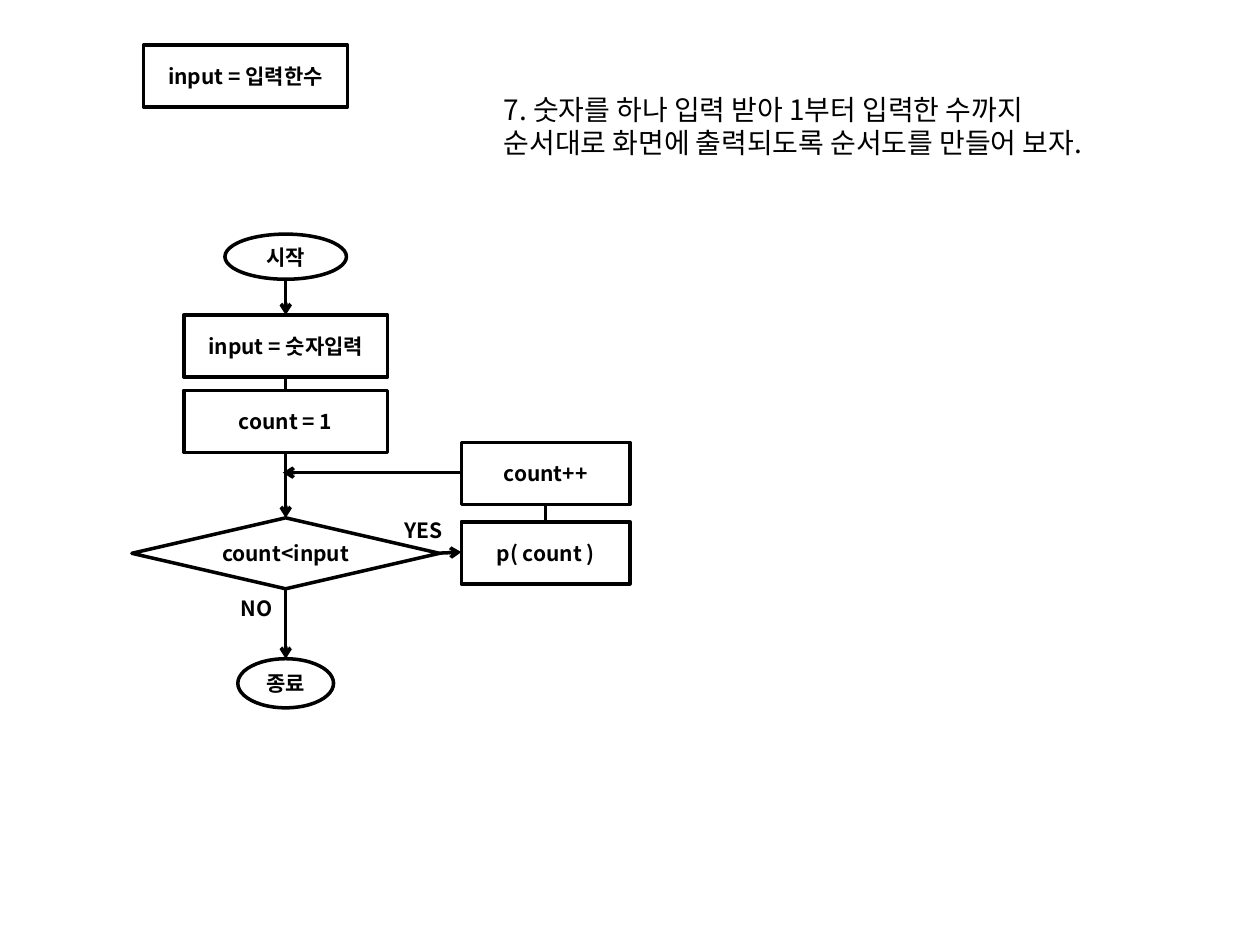
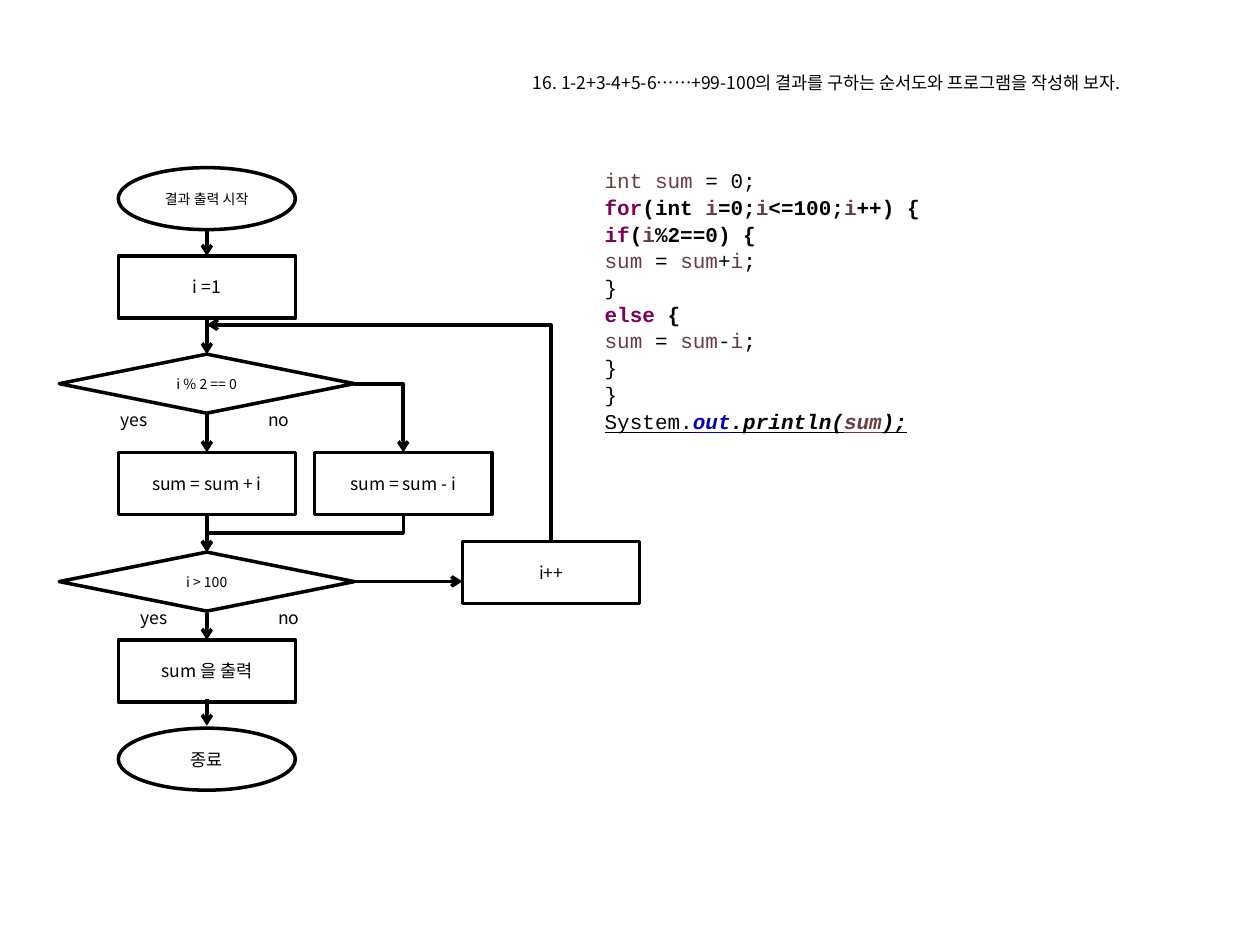
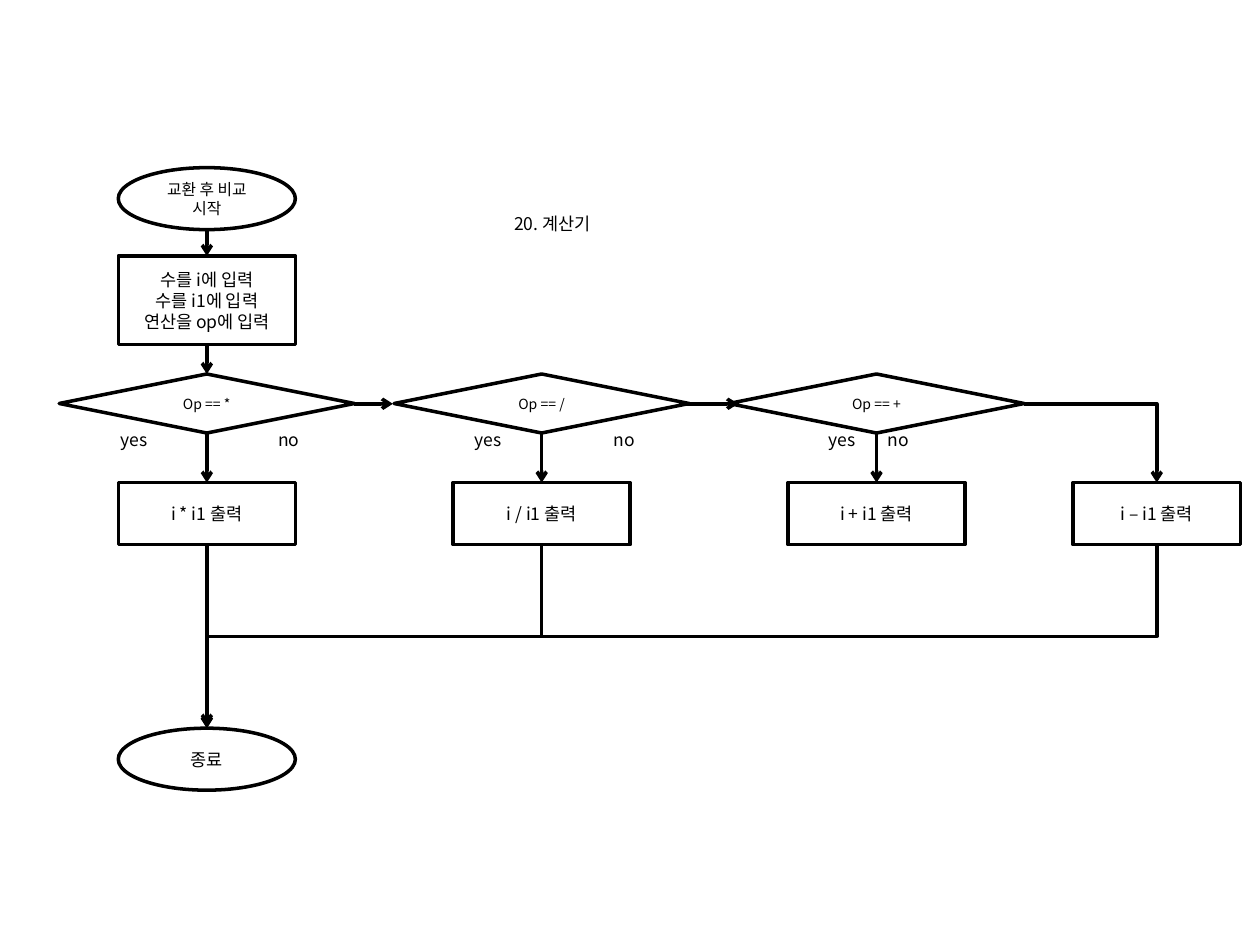
from dataclasses import dataclass, replace

from lxml.etree import SubElement
from pptx import Presentation
from pptx.dml.color import RGBColor
from pptx.enum.shapes import MSO_CONNECTOR as Link, MSO_SHAPE as Kind
from pptx.enum.text import MSO_ANCHOR as Anchor, MSO_AUTO_SIZE as AutoSize, PP_ALIGN as Align
from pptx.oxml.ns import qn
from pptx.util import Cm, Pt


@dataclass(frozen=True)
class TextStyle:
    size: float
    font: str = "Noto Sans CJK KR"
    color: str = "000000"
    bold: bool = False
    italic: bool = False
    underline: bool = False


@dataclass(frozen=True)
class Theme:
    line: str = "000000"
    paper: str = "FFFFFF"
    line_width: float = 2
    headline: TextStyle = TextStyle(16)
    strong: TextStyle = TextStyle(12, bold=True)
    body: TextStyle = TextStyle(10)
    compact: TextStyle = TextStyle(9)
    small: TextStyle = TextStyle(8)
    code: TextStyle = TextStyle(12, "Courier New")
    variable: str = "6A3E3E"
    keyword: str = "7F0055"
    field: str = "0000C0"


THEME = Theme()
AXIS = 4.17
BOX = (3.57, 1.25)
DIAMOND = (5.95, 1.19)
OVAL = (3.57, 1.25)


class FlowDeck:
    def __init__(self, theme):
        self.theme = theme
        self.deck = Presentation()
        self.deck.slide_width, self.deck.slide_height = Cm(25.4), Cm(19.05)
        self.slide = None

    def page(self, heading, left, top, height, style):
        self.slide = self.deck.slides.add_slide(self.deck.slide_layouts[5])
        title = self.slide.shapes.title
        title.left, title.top, title.width, title.height = map(Cm, (left, top, 12.7, height))
        self.set_lines(title.text_frame, [[(heading, style)]], Align.LEFT, Anchor.TOP)

    def set_lines(self, frame, lines, align, anchor, spacing=None):
        frame.word_wrap = True
        frame.auto_size = AutoSize.NONE
        frame.vertical_anchor = anchor
        for number, line in enumerate(lines):
            paragraph = frame.add_paragraph() if number else frame.paragraphs[0]
            paragraph.alignment = align
            if spacing:
                paragraph.line_spacing = spacing
            for text, style in line:
                run = paragraph.add_run()
                run.text = text
                font = run.font
                font.size, font.bold, font.italic = Pt(style.size), style.bold, style.italic
                font.underline = style.underline
                font.color.rgb = RGBColor.from_string(style.color)
                font.name = style.font
                SubElement(font._element, qn("a:ea"), typeface=style.font)

    def text(self, lines, left, top, width, height, spacing=None):
        box = self.slide.shapes.add_textbox(*map(Cm, (left, top, width, height)))
        self.set_lines(box.text_frame, lines, Align.LEFT, Anchor.TOP, spacing)

    def label(self, text, left, top, style=THEME.body):
        self.text([[(text, style)]], left, top, 1.78, 0.7)

    def node(self, kind, text, center, top, size, style=THEME.body, filled=False):
        width, height = size
        shape = self.slide.shapes.add_shape(
            kind, *map(Cm, (center - width / 2, top, width, height)))
        shape.shadow.inherit = False
        if filled:
            shape.fill.solid()
            shape.fill.fore_color.rgb = RGBColor.from_string(self.theme.paper)
        else:
            shape.fill.background()
        self.outline(shape.line)
        lines = [[(line, style)] for line in text.split("\n")]
        self.set_lines(shape.text_frame, lines, Align.CENTER, Anchor.MIDDLE)

    def process(self, text, center, top, size=BOX, style=THEME.body, filled=False):
        self.node(Kind.FLOWCHART_PROCESS, text, center, top, size, style, filled)

    def decision(self, text, center, top, size=DIAMOND, style=THEME.small):
        self.node(Kind.FLOWCHART_DECISION, text, center, top, size, style)

    def terminal(self, text, center, top, size=OVAL, style=THEME.body):
        self.node(Kind.OVAL, text, center, top, size, style)

    def outline(self, line):
        line.color.rgb = RGBColor.from_string(self.theme.line)
        line.width = Pt(self.theme.line_width)

    def connect(self, link, left, top, right, bottom):
        connector = self.slide.shapes.add_connector(link, *map(Cm, (left, top, right, bottom)))
        self.outline(connector.line)
        properties = connector.element.spPr
        SubElement(properties.find(qn("a:ln")), qn("a:tailEnd"), type="arrow")
        SubElement(properties, qn("a:effectLst"))
        return properties

    def arrow(self, x1, y1, x2, y2):
        self.connect(Link.STRAIGHT, x1, y1, x2, y2)

    def drop(self, x, y1, y2):
        self.arrow(x, y1, x, y2)

    def corner(self, x1, y1, x2, y2):
        properties = self.connect(Link.ELBOW, x1, y1, x2, y2)
        properties.find(qn("a:prstGeom")).set("prst", "bentConnector2")

    def turned(self, x1, y1, x2, y2):
        half_run, half_rise = abs(y2 - y1) / 2, abs(x2 - x1) / 2
        x, y = (x1 + x2) / 2, (y1 + y2) / 2
        return self.connect(Link.ELBOW, x - half_run, y - half_rise, x + half_run, y + half_rise)

    def merge_down(self, x1, y1, x2, y2):
        self.turned(x1, y1, x2, y2).find(qn("a:xfrm")).set("rot", "5400000")

    def loop_back(self, x1, y1, x2, y2):
        properties = self.turned(x1, y1, x2, y2)
        frame = properties.find(qn("a:xfrm"))
        frame.set("rot", "16200000")
        frame.set("flipV", "1")
        properties.find(qn("a:prstGeom")).set("prst", "bentConnector2")


def counting(flow):
    strong = THEME.strong
    main_axis, side_axis = 5.76, 11.0
    wide, narrow = (4.11, 1.25), (3.4, 1.25)
    flow.page("7. 숫자를 하나 입력 받아 1부터 입력한 수까지 순서대로 화면에 출력되도록 순서도를 만들어 보자.",
              9.9, 1.73, 2.31, THEME.headline)
    flow.drop(main_axis, 5.64, 6.35)
    flow.drop(main_axis, 7.6, 10.44)
    flow.drop(main_axis, 11.87, 13.28)
    flow.arrow(8.86, 11.15, 9.3, 11.13)
    flow.loop_back(side_axis, 10.52, 5.7, 9.53)
    flow.terminal("시작", main_axis, 4.72, (2.45, 0.91), strong)
    flow.terminal("종료", main_axis, 13.28, (1.93, 0.99), strong)
    flow.decision("count<input", main_axis, 10.44, (6.2, 1.43), strong)
    flow.process("input = 입력한수", 4.95, 0.91, wide, strong, filled=True)
    flow.process("input = 숫자입력", main_axis, 6.35, wide, strong)
    flow.process("count = 1", main_axis, 7.87, wide, strong, filled=True)
    flow.process("count++", side_axis, 8.92, narrow, strong, filled=True)
    flow.process("p( count )", side_axis, 10.52, narrow, strong)
    flow.label("YES", 7.9, 10.31, strong)
    flow.label("NO", 4.6, 11.89, strong)


def code_lines():
    plain = THEME.code
    variable = replace(plain, color=THEME.variable)
    strong = replace(plain, bold=True)
    strong_variable = replace(variable, bold=True)
    keyword = replace(strong, color=THEME.keyword)
    call = replace(strong, italic=True, underline=True)
    index = ("i", strong_variable)
    close = [("}", plain)]

    def update(sign):
        return [("sum", variable), (" = ", plain), ("sum", variable),
                (sign, plain), ("i", variable), (";", plain)]

    return [
        [("int sum", variable), (" = 0;", plain)],
        [("for", keyword), ("(int ", strong), index, ("=0;", strong), index,
         ("<=100;", strong), index, ("++) {", strong)],
        [("if", keyword), ("(", strong), index, ("%2==0) {", strong)],
        update("+"),
        close,
        [("else", keyword), (" {", strong)],
        update("-"),
        close,
        close,
        [("System.", replace(plain, underline=True)), ("out", replace(call, color=THEME.field)),
         (".println(", call), ("sum", replace(call, color=THEME.variable)), (");", call)],
    ]


def alternating_sum(flow):
    odd, step = 8.13, 11.11
    flow.page("16. 1-2+3-4+5-6……+99-100의 결과를 구하는 순서도와 프로그램을 작성해 보자.",
              10.49, 1.32, 1.12, THEME.body)
    flow.terminal("결과 출력 시작", AXIS, 3.38, style=THEME.small)
    flow.process("i =1", AXIS, 5.16)
    flow.decision("i % 2 == 0", AXIS, 7.14)
    flow.process("sum = sum + i", AXIS, 9.12)
    flow.process("sum = sum - i", odd, 9.12)
    flow.decision("i > 100", AXIS, 11.13)
    flow.process("i++", step, 10.92)
    flow.process("sum 을 출력", AXIS, 12.9)
    flow.terminal("종료", AXIS, 14.68)
    for top, bottom in ((4.65, 5.16), (6.4, 7.14), (8.33, 9.12),
                        (10.37, 11.13), (12.35, 12.9), (14.1, 14.63)):
        flow.drop(AXIS, top, bottom)
    flow.corner(7.14, 7.74, odd, 9.12)
    flow.merge_down(odd, 10.37, AXIS, 11.13)
    flow.arrow(7.14, 11.72, 9.32, 11.72)
    flow.loop_back(step, 10.92, AXIS, 6.55)
    for answer, left, top in (("yes", 2.18, 8.13), ("no", 5.16, 8.13),
                              ("yes", 2.59, 12.12), ("no", 5.36, 12.12)):
        flow.label(answer, left, top)
    flow.text(code_lines(), 11.94, 3.23, 12.7, 5.38, 1.06)


def calculator(flow):
    pitch, last = 6.75, 23.32
    flow.page("20. 계산기", 10.11, 4.17, 0.69, THEME.body)
    flow.terminal("교환 후 비교 시작", AXIS, 3.38, style=THEME.compact)
    flow.process("수를 i에 입력\n수를 i1에 입력\n연산을 op에 입력", AXIS, 5.16, (3.57, 1.79))
    flow.terminal("종료", AXIS, 14.68)
    flow.drop(AXIS, 4.65, 5.16)
    flow.drop(AXIS, 6.95, 7.54)
    for column, (sign, yes, no) in enumerate((("*", 2.18, 5.36), ("/", 9.32, 12.12),
                                              ("+", 16.46, 17.65))):
        center = AXIS + column * pitch
        flow.decision(f"Op == {sign}", center, 7.54)
        flow.process(f"i {sign} i1 출력", center, 9.73)
        flow.drop(center, 8.73, 9.73)
        flow.label("yes", yes, 8.53)
        flow.label("no", no, 8.53)
    flow.process("i – i1 출력", last, 9.73, (3.38, 1.25))
    flow.arrow(7.14, 8.14, 7.92, 8.14)
    flow.arrow(13.69, 8.14, 14.88, 8.14)
    flow.corner(20.65, 8.14, last, 9.73)
    flow.drop(AXIS, 10.98, 14.63)
    for center in (AXIS + pitch, last):
        flow.merge_down(center, 10.98, AXIS, 14.68)


def main():
    flow = FlowDeck(THEME)
    counting(flow)
    alternating_sum(flow)
    calculator(flow)
    flow.deck.save("out.pptx")


if __name__ == "__main__":
    main()
